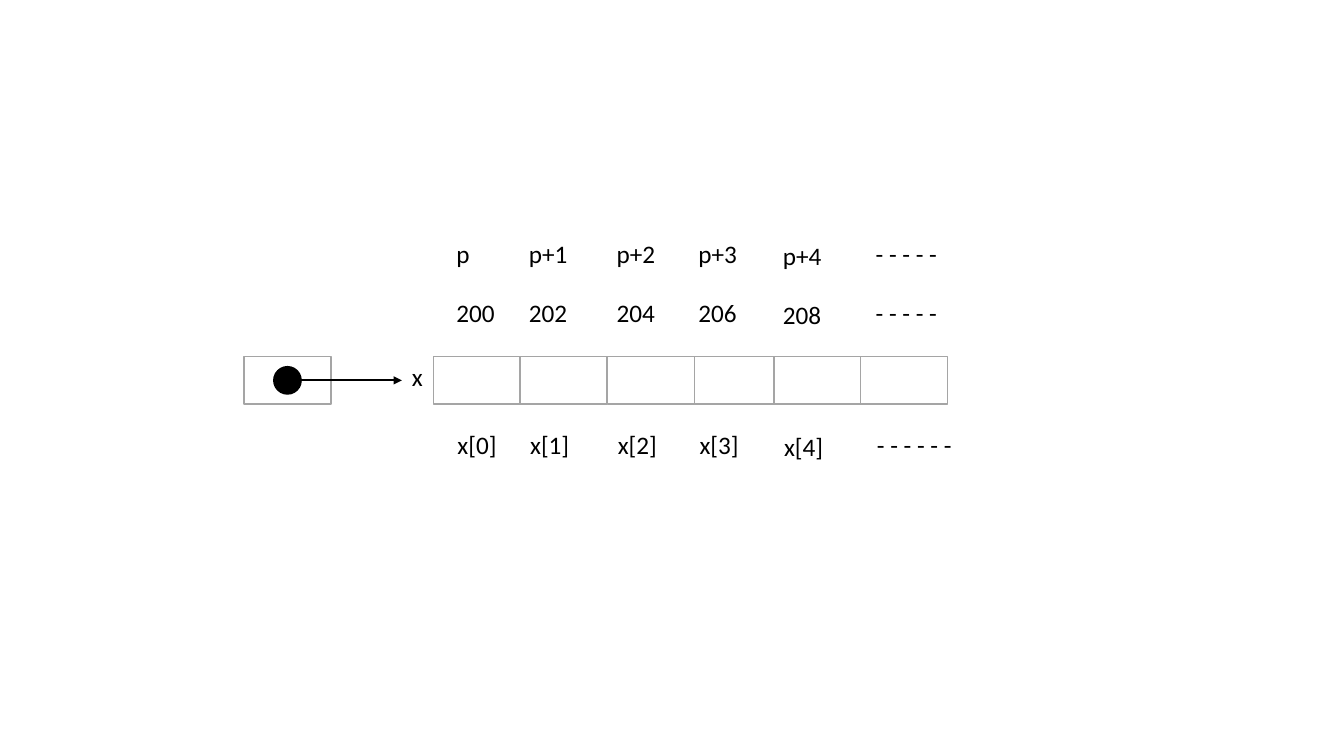
from lxml.etree import SubElement
from pptx import Presentation
from pptx.dml.color import RGBColor
from pptx.enum.shapes import MSO_CONNECTOR, MSO_SHAPE
from pptx.enum.text import MSO_AUTO_SIZE, MSO_VERTICAL_ANCHOR as ANCHOR
from pptx.oxml.ns import qn
from pptx.util import Cm, Pt

BLACK = RGBColor(0x00, 0x00, 0x00)
WHITE = RGBColor(0xFF, 0xFF, 0xFF)
GRAY = RGBColor(0xA5, 0xA5, 0xA5)

LABEL_ROWS = [
    (10.69, 0.03, ["x[0]", "x[1]", "x[2]", "x[3]", "x[4]", "- - - - - -"]),
    (7.37, 0, ["200", "202", "204", "206", "208", "- - - - -"]),
    (5.87, 0, ["p", "p+1", "p+2", "p+3", "p+4", "- - - - -"]),
]
LABEL_LEFTS = [11.25, 13.08, 15.29, 17.35, 19.48, 21.82]
LABEL_DROPS = [0, 0, 0, 0, 0.05, 0]
LABEL_WIDTHS = {"x": 0.79, "p": 0.86, "- - - - -": 2.08, "- - - - - -": 2.41}
LABEL_WIDTH, LABEL_HEIGHT = 1.5, 1.03

CELL_LEFTS = [10.92, 13.11, 15.31, 17.5, 19.51, 21.69]
CELL_TOP, CELL_WIDTH, CELL_HEIGHT = 8.99, 2.19, 1.19
POINTER_LEFT, DOT_SIZE, ARROW_END = 6.15, 0.69, 10.13


def add_figure(slide, kind, left, top, width, height, fill, line):
    shape = slide.shapes.add_shape(kind, Cm(left), Cm(top), Cm(width), Cm(height))
    shape.shadow.inherit = False
    shape.fill.solid()
    shape.fill.fore_color.rgb = fill
    shape.line.color.rgb = line
    shape.line.width = Pt(1)


def add_cell(slide, left):
    add_figure(slide, MSO_SHAPE.RECTANGLE, left, CELL_TOP, CELL_WIDTH, CELL_HEIGHT, WHITE, GRAY)


def add_label(slide, text, left, top):
    width = LABEL_WIDTHS.get(text, LABEL_WIDTH)
    box = slide.shapes.add_textbox(Cm(left), Cm(top), Cm(width), Cm(LABEL_HEIGHT))
    frame = box.text_frame
    frame.text = text
    frame.word_wrap = False
    frame.auto_size = MSO_AUTO_SIZE.SHAPE_TO_FIT_TEXT
    frame.vertical_anchor = ANCHOR.TOP
    font = frame.paragraphs[0].runs[0].font
    font.name = "Calibri"
    font.size = Pt(18)
    font.color.rgb = BLACK


def add_arrow(slide, start, end, y):
    arrow = slide.shapes.add_connector(MSO_CONNECTOR.STRAIGHT, Cm(start), Cm(y), Cm(end), Cm(y))
    arrow.line.color.rgb = BLACK
    arrow.line.width = Pt(1.5)
    SubElement(arrow.line._get_or_add_ln(), qn("a:tailEnd"), type="triangle")
    SubElement(arrow._element.spPr, qn("a:effectLst"))


def main():
    presentation = Presentation()
    presentation.slide_width = Cm(33.87)
    presentation.slide_height = Cm(19.05)
    slide = presentation.slides.add_slide(presentation.slide_layouts[6])

    center_x = POINTER_LEFT + CELL_WIDTH / 2
    center_y = CELL_TOP + CELL_HEIGHT / 2
    add_cell(slide, POINTER_LEFT)
    add_figure(slide, MSO_SHAPE.FLOWCHART_CONNECTOR, center_x - DOT_SIZE / 2,
               center_y - DOT_SIZE / 2, DOT_SIZE, DOT_SIZE, BLACK, BLACK)
    add_arrow(slide, center_x, ARROW_END, center_y)
    add_label(slide, "x", ARROW_END, CELL_TOP)

    for left in CELL_LEFTS:
        add_cell(slide, left)
    for top, shift, labels in LABEL_ROWS:
        for text, left, drop in zip(labels, LABEL_LEFTS, LABEL_DROPS):
            add_label(slide, text, left + shift, top + drop)

    presentation.save("out.pptx")


if __name__ == "__main__":
    main()
